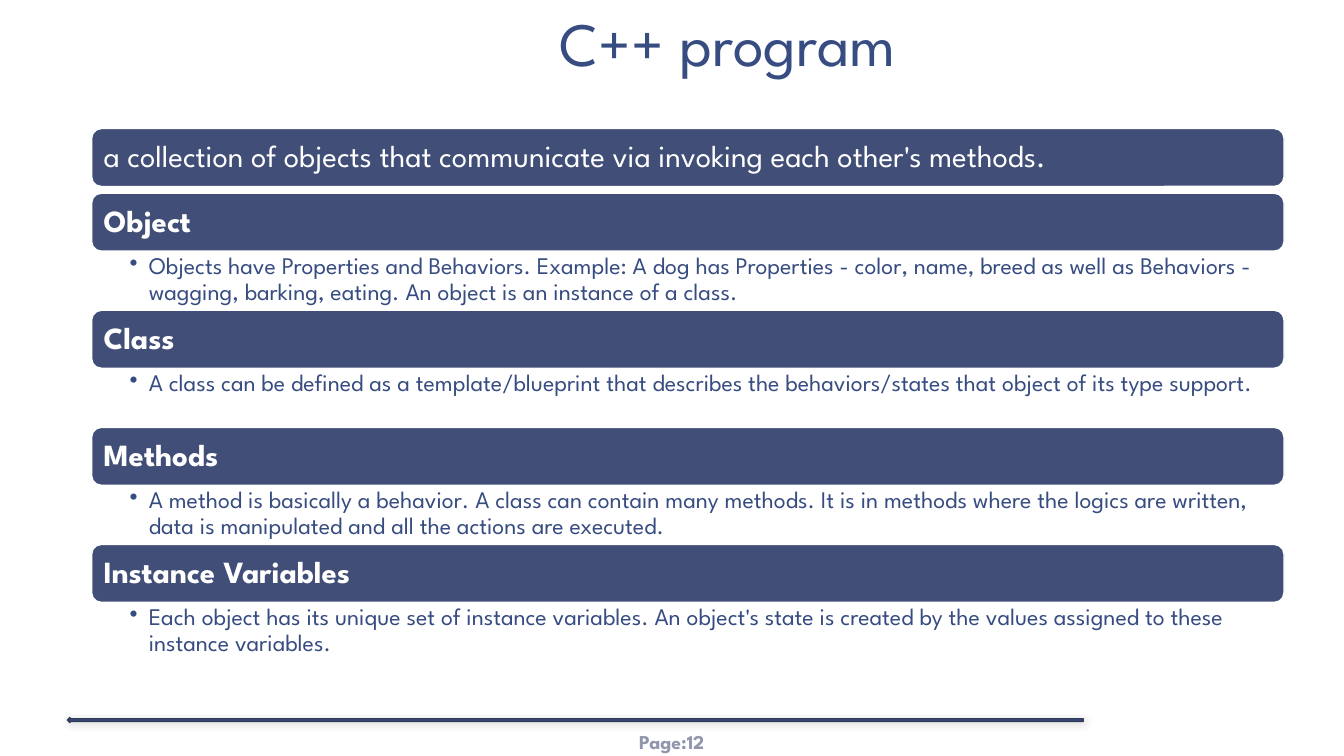
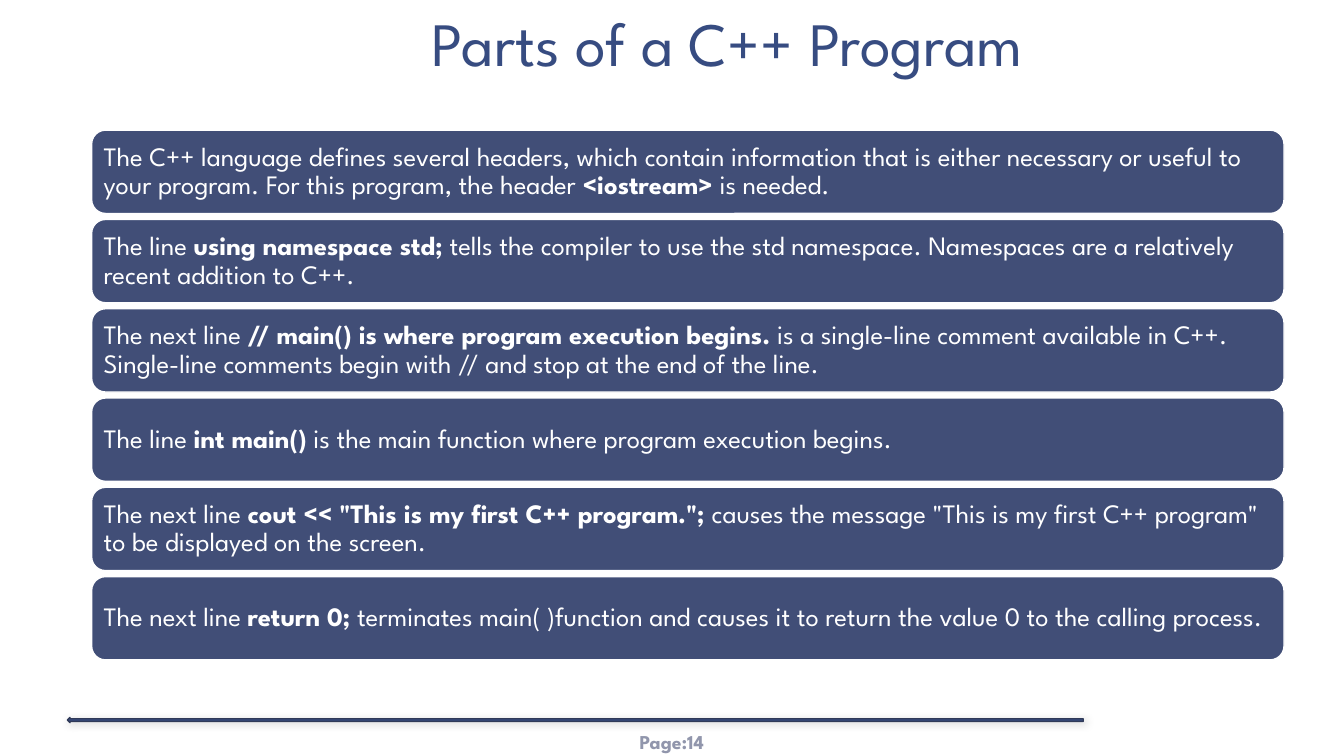
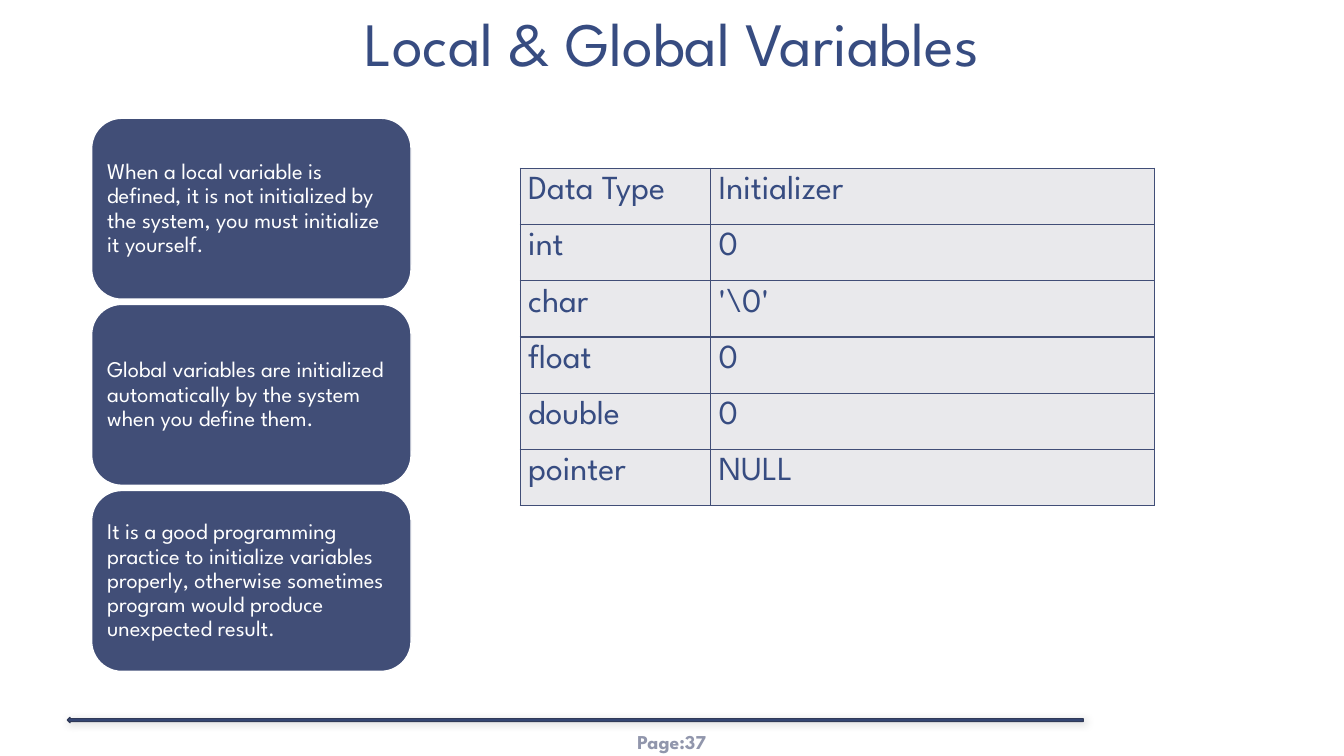
from dataclasses import dataclass

from lxml import etree
from pptx import Presentation
from pptx import util as u
from pptx.dml.color import RGBColor
from pptx.enum import shapes, text
from pptx.oxml import parse_xml
from pptx.oxml.ns import nsdecls, qn


@dataclass(frozen=True)
class Theme:
    font: str = "League Spartan"
    ink: str = "374C81"
    card: str = "414E77"
    rule_edge: str = "303A58"
    page: str = "9196AC"
    cell: str = "E9E9EC"
    white: str = "FFFFFF"
    title_size: int = 44
    table_size: int = 24
    detail_size: int = 17
    page_size: int = 14


theme = Theme()
rgb = RGBColor.from_string


def write(frame, pieces, size, color, insets, anchor, align=text.PP_ALIGN.LEFT, spacing=None, bullet=False):
    frame.word_wrap = True
    frame.vertical_anchor = anchor
    frame.margin_left, frame.margin_top, frame.margin_right, frame.margin_bottom = map(u.Cm, insets)
    paragraph = frame.paragraphs[0]
    paragraph.alignment = align
    if spacing:
        paragraph.line_spacing = spacing
    if bullet:
        properties = paragraph._p.get_or_add_pPr()
        properties.set("marL", str(u.Cm(0.48)))
        properties.set("indent", str(u.Cm(-0.48)))
        etree.SubElement(properties, qn("a:buChar")).set("char", "•")
    paragraph.font.name = theme.font
    paragraph.font.size = u.Pt(size)
    paragraph.font.color.rgb = rgb(color)
    if len(pieces) == 2:
        paragraph.font.bold = True
    for index, piece in enumerate(pieces):
        if piece:
            run = paragraph.add_run()
            run.text = piece
            if len(pieces) == 3 and index == 1:
                run.font.bold = True


concepts = [
    ("Object", "Objects have Properties and Behaviors. Example: A dog has Properties - color, name, breed as well as Behaviors - wagging, barking, eating. An object is an instance of a class."),
    ("Class", "A class can be defined as a template/blueprint that describes the behaviors/states that object of its type support."),
    ("Methods", "A method is basically a behavior. A class can contain many methods. It is in methods where the logics are written, data is manipulated and all the actions are executed."),
    ("Instance Variables", "Each object has its unique set of instance variables. An object's state is created by the values assigned to these instance variables."),
]
program_parts = [
    ("The C++ language defines several headers, which contain information that is either necessary or useful to your program. For this program, the header ", "<iostream>", " is needed."),
    ("The line ", "using namespace std;", " tells the compiler to use the std namespace. Namespaces are a relatively recent addition to C++."),
    ("The next line ", "// main() is where program execution begins.", " is a single-line comment available in C++. Single-line comments begin with // and stop at the end of the line."),
    ("The line ", "int main()", " is the main function where program execution begins."),
    ("The next line ", 'cout << "This is my first C++ program.";', ' causes the message "This is my first C++ program" to be displayed on the screen.'),
    ("The next line ", "return 0;", " terminates main( )function and causes it to return the value 0 to the calling process."),
]
variable_rules = [
    ("When a local variable is defined, it is not initialized by the system, you must initialize it yourself.",),
    ("Global variables are initialized automatically by the system when you define them.",),
    ("It is a good programming practice to initialize variables properly, otherwise sometimes program would produce unexpected result.",),
]
initializers = [
    ("Data Type", "Initializer"),
    ("int", "0"),
    ("char", "'\\0'"),
    ("float", "0"),
    ("double", "0"),
    ("pointer", "NULL"),
]

concept_tops = [4.87 + 2.95 * i for i in range(len(concepts))]
concept_cards = [("a collection of objects that communicate via invoking each other's methods.",)]
concept_cards += [("", name) for name, detail in concepts]
lessons = [
    ("C++ program", 2.82, 12, concept_cards, [3.24] + concept_tops, 30.05, 1.46, 22, 0.23),
    ("Parts of a C++ Program", 2.82, 14, program_parts, [3.28 + 2.25 * i for i in range(6)], 30.05, 2.1, 19, 0.2),
    ("Local & Global Variables", 0, 37, variable_rules, [2.98 + 4.69 * i for i in range(3)], 8.05, 4.56, 16, 0.17),
]
card_left = 2.31
slide_width = 33.87

prs = Presentation()
prs.slide_width = u.Cm(slide_width)
prs.slide_height = u.Cm(19.05)

for heading, heading_left, page, cards, tops, width, height, size, inset in lessons:
    slide = prs.slides.add_slide(prs.slide_layouts[6])

    footer = slide.shapes.add_textbox(u.Cm(14.68), u.Cm(18.35), u.Cm(4.5), u.Cm(0.7))
    write(footer.text_frame, ("", f"Page:{page}"), theme.page_size, theme.page,
          (0.1, 0.05, 0.1, 0.05), text.MSO_ANCHOR.MIDDLE, text.PP_ALIGN.CENTER)

    rule = slide.shapes.add_shape(shapes.MSO_SHAPE.LEFT_ARROW, u.Cm(1.7), u.Cm(18.08), u.Cm(25.6), u.Cm(0.13))
    rule.fill.solid()
    rule.fill.fore_color.rgb = rgb(theme.ink)
    rule.line.color.rgb = rgb(theme.rule_edge)
    rule.line.width = u.Pt(1)
    rule.shadow.inherit = False
    rule._element.spPr.find(qn("a:effectLst")).append(parse_xml(
        f'<a:outerShdw {nsdecls("a")} blurRad="{u.Pt(6)}" dist="{u.Pt(1)}" dir="2700000" rotWithShape="0">'
        '<a:srgbClr val="000000"><a:alpha val="20000"/></a:srgbClr></a:outerShdw>'))

    title = slide.shapes.add_textbox(u.Cm(heading_left), 0, u.Cm(slide_width - heading_left), u.Cm(2.18))
    write(title.text_frame, (heading,), theme.title_size, theme.ink,
          (0.33, 0.18, 0.33, 0.18), text.MSO_ANCHOR.BOTTOM, text.PP_ALIGN.CENTER, 0.85)

    for pieces, top in zip(cards, tops):
        card = slide.shapes.add_shape(shapes.MSO_SHAPE.ROUNDED_RECTANGLE,
                                      u.Cm(card_left), u.Cm(top), u.Cm(width), u.Cm(height))
        card.fill.solid()
        card.fill.fore_color.rgb = rgb(theme.card)
        card.line.color.rgb = rgb(theme.white)
        card.line.width = u.Pt(1)
        card.shadow.inherit = False
        write(card.text_frame, pieces, size, theme.white, [inset] * 4, text.MSO_ANCHOR.MIDDLE, spacing=0.9)

program_slide, parts_slide, variables_slide = prs.slides

for (name, detail), top in zip(concepts, concept_tops):
    note = program_slide.shapes.add_textbox(u.Cm(card_left), u.Cm(top + 1.46), u.Cm(30.05), u.Cm(1.49))
    write(note.text_frame, (detail,), theme.detail_size, theme.ink,
          (0.96, 0.07, 0.43, 0.07), text.MSO_ANCHOR.TOP, spacing=0.9, bullet=True)

table = variables_slide.shapes.add_table(len(initializers), 2, u.Cm(13.11), u.Cm(4.24),
                                         u.Cm(15.98), u.Cm(7.23)).table
table.first_row = False
table.horz_banding = False
table.columns[0].width = u.Cm(4.8)
table.columns[1].width = u.Cm(11.18)
for row, values in zip(table.rows, initializers):
    row.height = u.Cm(1.2)
    for cell, value in zip(row.cells, values):
        for side in ("lnL", "lnR", "lnT", "lnB"):
            cell._tc.get_or_add_tcPr().append(parse_xml(
                f'<a:{side} {nsdecls("a")} w="{u.Pt(1)}"><a:solidFill>'
                f'<a:srgbClr val="{theme.card}"/></a:solidFill></a:{side}>'))
        cell.fill.solid()
        cell.fill.fore_color.rgb = rgb(theme.cell)
        cell.margin_left = cell.margin_right = cell.margin_top = cell.margin_bottom = u.Cm(0.2)
        paragraph = cell.text_frame.paragraphs[0]
        paragraph.text = value
        paragraph.font.name = theme.font
        paragraph.font.size = u.Pt(theme.table_size)
        paragraph.font.color.rgb = rgb(theme.ink)

prs.save("out.pptx")
